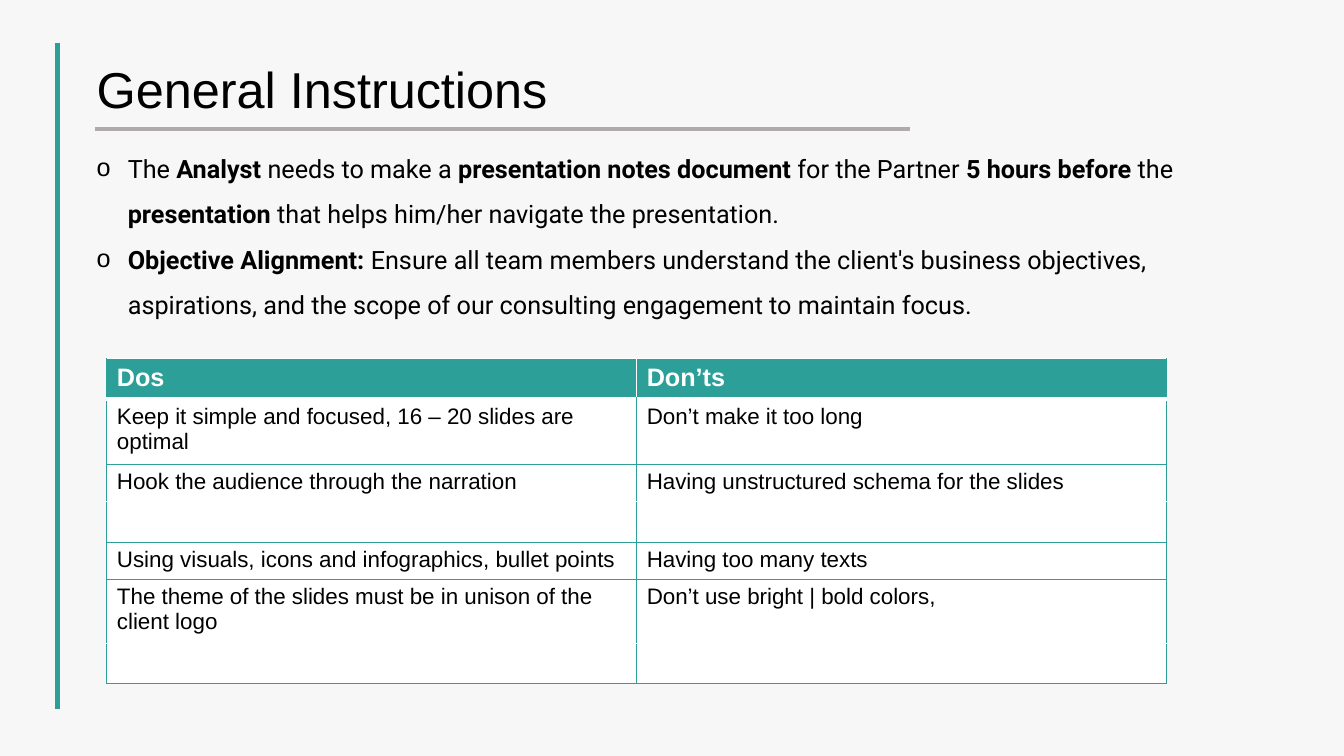
from lxml.etree import SubElement
from pptx import Presentation
from pptx.dml.color import RGBColor
from pptx.enum.shapes import MSO_CONNECTOR
from pptx.oxml.ns import qn
from pptx.util import Inches, Pt

TEAL = RGBColor(0x2C, 0x9F, 0x98)
GREY = RGBColor(0xAF, 0xAB, 0xAB)
PAPER = RGBColor(0xF7, 0xF7, 0xF7)
WHITE = RGBColor(0xFF, 0xFF, 0xFF)
BLACK = RGBColor(0, 0, 0)

# Each bullet is a list of (text, bold) pieces.
INSTRUCTIONS = [
    [("The ", False), ("Analyst ", True), ("needs to make a ", False),
     ("presentation notes document ", True), ("for the Partner ", False),
     ("5 hours before ", True), ("the ", False), ("presentation ", True),
     ("that helps him/her navigate the presentation.", False)],
    [("Objective Alignment: ", True),
     ("Ensure all team members understand the client's business objectives, "
      "aspirations, and the scope of our consulting engagement to maintain focus.", False)],
]
ADVICE = [
    ("Dos", "Don’ts"),
    ("Keep it simple and focused, 16 – 20 slides are optimal", "Don’t make it too long"),
    ("Hook the audience through the narration", "Having unstructured schema for the slides"),
    ("", ""),
    ("Using visuals, icons and infographics, bullet points", "Having too many texts"),
    ("The theme of the slides must be in unison of the client logo",
     "Don’t use bright | bold colors,"),
    ("", ""),
]
ROW_HEIGHTS = [0.38, 0.65, 0.36, 0.38, 0.37, 0.63, 0.37]

# Borders as (colour, points); row edges run from the table's top to its bottom.
THIN, EDGE, GAP = (TEAL, 0.5), (TEAL, 1), (WHITE, 1)
ROW_EDGES = [GAP, (WHITE, 3), THIN, GAP, THIN, THIN, GAP, EDGE]
HEADER_COLUMN_EDGES = [EDGE, GAP, EDGE]
BODY_COLUMN_EDGES = [EDGE, THIN, EDGE]


def write(paragraph, text, font="Arial", size=16, color=BLACK, bold=False):
    run = paragraph.add_run()
    run.text = text
    run.font.name = font
    run.font.size = Pt(size)
    run.font.color.rgb = color
    run.font.bold = bold


def add_line(slide, start, end, color, width):
    line = slide.shapes.add_connector(
        MSO_CONNECTOR.STRAIGHT, *(Inches(length) for length in (*start, *end)))
    line.line.color.rgb = color
    line.line.width = Pt(width)
    SubElement(line._element.spPr, qn("a:effectLst"))


def add_text_frame(slide, left, top, width, height):
    box = slide.shapes.add_textbox(Inches(left), Inches(top), Inches(width), Inches(height))
    box.text_frame.word_wrap = True
    return box.text_frame


def add_title(slide, left, top, width, height):
    frame = add_text_frame(slide, left, top, width, height)
    frame.margin_top = frame.margin_bottom = Inches(0.1)
    paragraph = frame.paragraphs[0]
    paragraph.line_spacing = 0.9
    write(paragraph, "General Instructions", size=36)
    underline = top + 0.74
    add_line(slide, (left + 0.08, underline), (left + 8.17, underline), GREY, 3)


def set_bullet(paragraph, character, indent):
    properties = paragraph._p.get_or_add_pPr()
    properties.set("marL", str(Inches(indent)))
    properties.set("indent", str(-Inches(indent)))
    SubElement(properties, qn("a:buFont")).set("typeface", "Arial")
    SubElement(properties, qn("a:buChar")).set("char", character)


def add_instructions(slide, left, top, width, height):
    frame = add_text_frame(slide, left, top, width, height)
    for index, pieces in enumerate(INSTRUCTIONS):
        paragraph = frame.add_paragraph() if index else frame.paragraphs[0]
        paragraph.line_spacing = 1.5
        set_bullet(paragraph, "o", 0.31)
        for text, bold in pieces:
            write(paragraph, text, font="Roboto", size=18, bold=bold)


def set_borders(cell, left, right, top, bottom):
    properties = cell._tc.get_or_add_tcPr()
    for side, (color, width) in zip("LRTB", (left, right, top, bottom)):
        border = SubElement(properties, qn(f"a:ln{side}"), w=str(Pt(width)))
        fill = SubElement(border, qn("a:solidFill"))
        SubElement(fill, qn("a:srgbClr")).set("val", str(color))


def add_advice_table(slide, left, top, width):
    table = slide.shapes.add_table(
        len(ADVICE), 2, Inches(left), Inches(top), Inches(width),
        Inches(sum(ROW_HEIGHTS))).table
    for row, texts in enumerate(ADVICE):
        table.rows[row].height = Inches(ROW_HEIGHTS[row])
        header = row == 0
        column_edges = HEADER_COLUMN_EDGES if header else BODY_COLUMN_EDGES
        for column, text in enumerate(texts):
            cell = table.cell(row, column)
            set_borders(cell, *column_edges[column:column + 2], *ROW_EDGES[row:row + 2])
            cell.fill.solid()
            cell.fill.fore_color.rgb = TEAL if header else WHITE
            write(cell.text_frame.paragraphs[0], text, size=18 if header else 16,
                  color=WHITE if header else BLACK, bold=header)


def build_instruction_slide(presentation):
    slide = presentation.slides.add_slide(presentation.slide_layouts[6])
    slide.background.fill.solid()
    slide.background.fill.fore_color.rgb = PAPER
    add_line(slide, (0.57, 0.43), (0.57, 7.03), TEAL, 3.25)
    add_title(slide, 0.86, 0.54, 11.38, 0.63)
    add_instructions(slide, 0.86, 1.32, 11.1, 1.88)
    add_advice_table(slide, 1.06, 3.56, 10.51)


def main():
    presentation = Presentation()
    presentation.slide_width = Inches(13.33)
    presentation.slide_height = Inches(7.5)
    build_instruction_slide(presentation)
    presentation.save("out.pptx")


if __name__ == "__main__":
    main()
